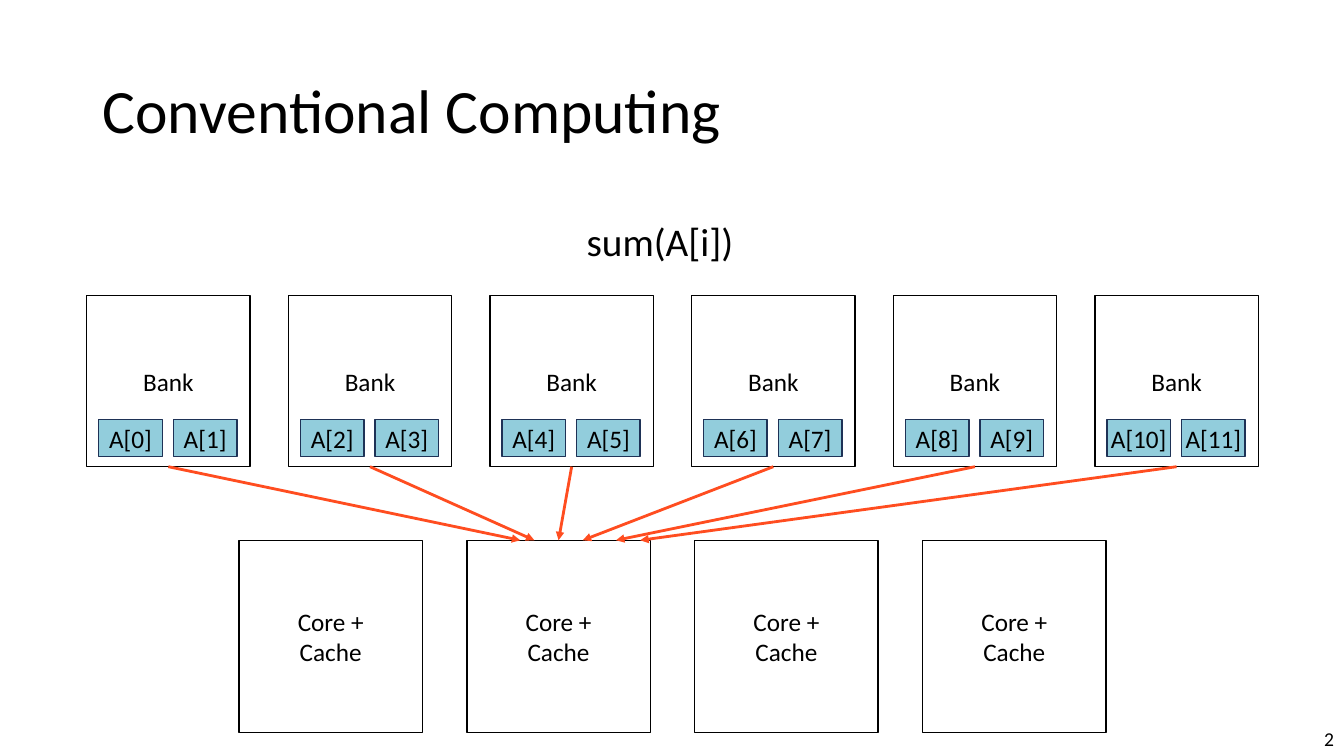
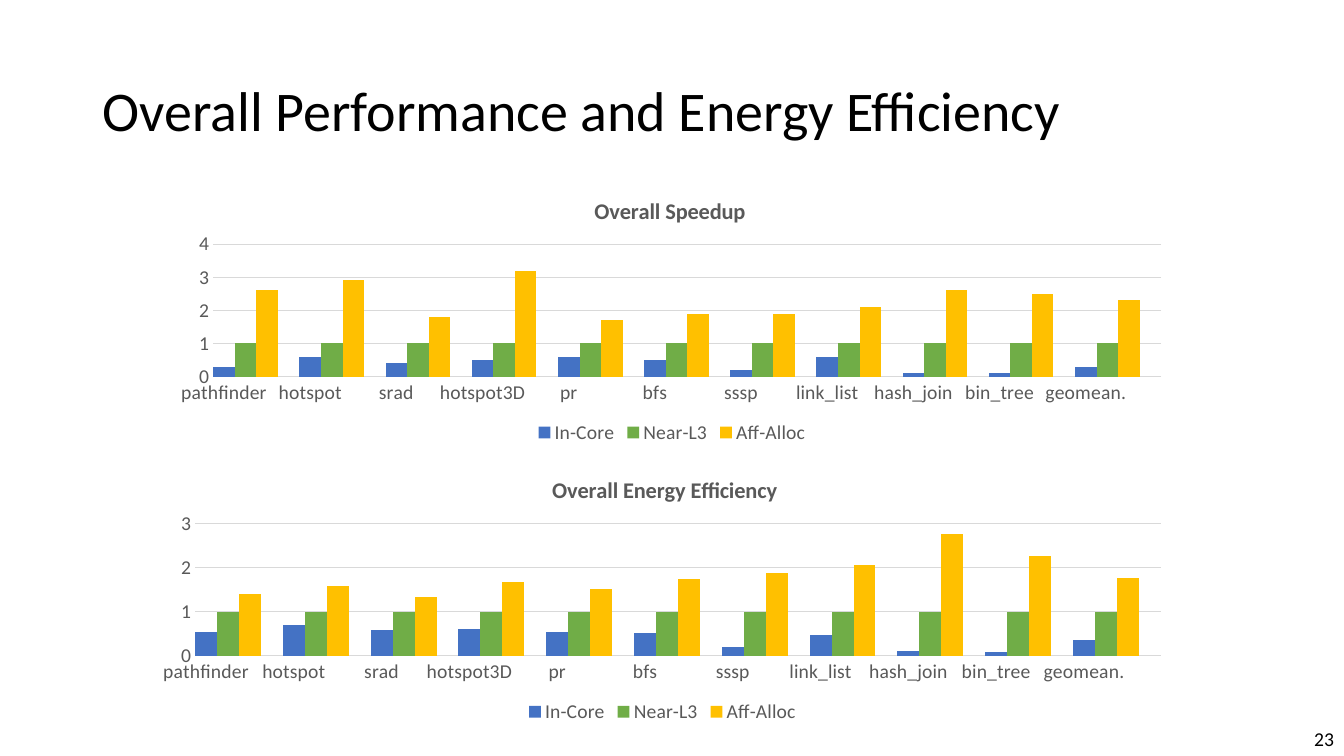
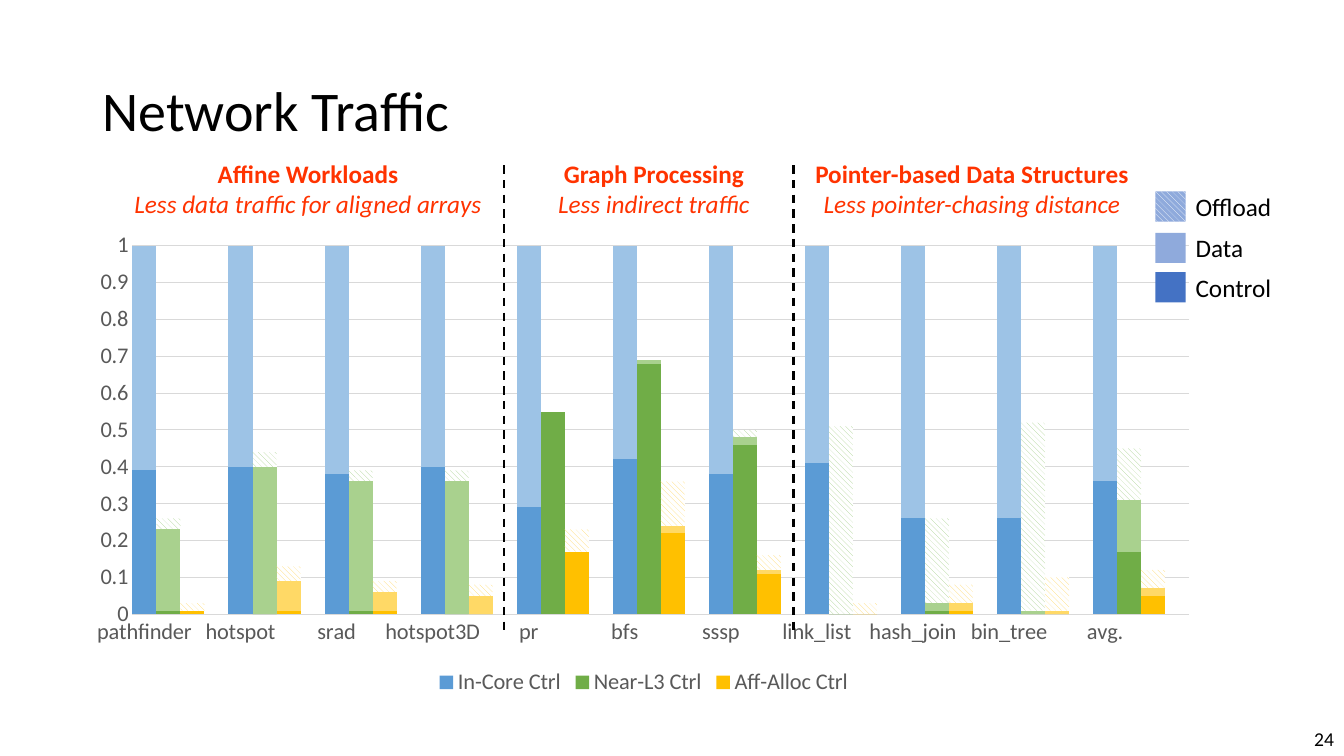
"""Build three slides on conventional computing, efficiency and network traffic."""
from dataclasses import dataclass

from pptx import Presentation
from pptx.chart import data as chart_data
from pptx.dml.color import RGBColor
from pptx.enum import chart as chart_enum, dml, shapes, text
from pptx.oxml import ns, parse_xml
from pptx.util import Inches, Pt


@dataclass(frozen=True)
class Theme:
    font: str = "Calibri"
    black: str = "000000"
    white: str = "FFFFFF"
    gray: str = "595959"
    grid: str = "D9D9D9"
    cell: str = "92CDDC"
    cell_edge: str = "1E3256"
    arrow: str = "FF4D20"
    accent: str = "FF3300"
    blue: str = "4472C4"
    soft_blue: str = "8FAADC"
    green: str = "70AD47"
    gold: str = "FFC000"
    traffic: tuple = (("5B9BD5", "9DC3E6"), ("70AD47", "A9D18E"), ("FFC000", "FFD966"))
    title: int = 44
    long_title: int = 40
    formula: int = 28
    body: int = 18
    chart_title: int = 16
    number: int = 14


theme = Theme()
color = RGBColor.from_string
CENTER, RIGHT = text.PP_ALIGN.CENTER, text.PP_ALIGN.RIGHT
HATCH = dml.MSO_PATTERN.WIDE_DOWNWARD_DIAGONAL


def add_text(slide, box, lines, size=theme.body, ink=theme.black, wrap=True, anchor=None,
             fonts=({},), **paragraph_format):
    """Add a text box with one paragraph per line."""
    shape = slide.shapes.add_textbox(*map(Inches, box))
    frame = shape.text_frame
    frame.word_wrap, frame.vertical_anchor = wrap, anchor
    frame.text = "\n".join(lines)
    for index, paragraph in enumerate(frame.paragraphs):
        for name, value in paragraph_format.items():
            setattr(paragraph, name, value)
        font = paragraph.runs[0].font
        for name, value in {"name": theme.font, "size": Pt(size), **fonts[index % len(fonts)]}.items():
            setattr(font, name, value)
        font.color.rgb = color(ink)


def add_box(slide, box, fill, edge=None, lines=(), wrap=True):
    """Add a filled rectangle with centred lines of text."""
    shape = slide.shapes.add_shape(shapes.MSO_SHAPE.RECTANGLE, *map(Inches, box))
    shape.shadow.inherit = False
    shape.fill.solid()
    shape.fill.fore_color.rgb = color(fill)
    if edge:
        shape.line.color.rgb, shape.line.width = color(edge), Pt(1)
    else:
        shape.line.fill.background()
    frame = shape.text_frame
    frame.word_wrap, frame.vertical_anchor = wrap, text.MSO_ANCHOR.MIDDLE
    frame.text = "\n".join(lines)
    for paragraph in frame.paragraphs:
        paragraph.alignment = CENTER
        for name, value in {"name": theme.font, "size": Pt(theme.body)}.items():
            setattr(paragraph.font, name, value)
        paragraph.font.color.rgb = color(theme.black)
    return shape


presentation = Presentation()
presentation.slide_width, presentation.slide_height = Inches(13.33), Inches(7.5)
slides = []
for title, size, number in (
    ("Conventional Computing", theme.title, "2"),
    ("Overall Performance and Energy Efficiency", theme.long_title, "23"),
    ("Network Traffic", theme.long_title, "24"),
):
    slide = presentation.slides.add_slide(presentation.slide_layouts[6])
    add_text(slide, (0.92, 0.4, 11.5, 1.45), [title], size, anchor=text.MSO_ANCHOR.MIDDLE,
             line_spacing=0.9)
    add_text(slide, (12.74, 7.16, 0.59, 0.34), [number], theme.number, alignment=RIGHT)
    slides.append(slide)
computing, efficiency, traffic = slides

for core in range(4):
    add_box(computing, (2.37 + 2.26 * core, 5.36, 1.82, 1.91), theme.white, theme.black,
            ["Core +", "Cache"])
for bank in range(6):
    left = 0.86 + 2 * bank
    add_box(computing, (left, 2.93, 1.62, 1.7), theme.white, theme.black, ["Bank"])
    for half in range(2):
        add_box(computing, (left + 0.12 + 0.74 * half, 4.16, 0.63, 0.37), theme.cell,
                theme.cell_edge, [f"A[{2 * bank + half}]"], wrap=False)
add_text(computing, (5.72, 2.11, 1.67, 0.57), ["sum(A[i])"], theme.formula, wrap=False)

workloads = ["pathfinder", "hotspot", "srad", "hotspot3D", "pr", "bfs", "sssp",
             "link_list", "hash_join", "bin_tree"]
systems = ["In-Core", "Near-L3", "Aff-Alloc"]
system_colors = [theme.blue, theme.green, theme.gold]
speedup = [
    [0.3, 0.6, 0.4, 0.5, 0.6, 0.5, 0.2, 0.6, 0.1, 0.1, 0.3],
    [1] * 11,
    [2.6, 2.9, 1.8, 3.2, 1.7, 1.9, 1.9, 2.1, 2.6, 2.5, 2.3],
]
energy = [
    [0.53, 0.7, 0.58, 0.6, 0.54, 0.52, 0.19, 0.46, 0.1, 0.09, 0.35],
    [1] * 11,
    [1.4, 1.58, 1.32, 1.66, 1.52, 1.74, 1.87, 2.05, 2.76, 2.26, 1.77],
]
messages = [
    [0.39, 0.4, 0.38, 0.4, 0.29, 0.42, 0.38, 0.41, 0.26, 0.26, 0.36],
    [0.61, 0.6, 0.62, 0.6, 0.71, 0.58, 0.62, 0.59, 0.74, 0.74, 0.64],
    [0] * 11,
    [0.01, 0, 0.01, 0, 0.55, 0.68, 0.46, 0, 0.01, 0, 0.17],
    [0.22, 0.4, 0.35, 0.36, 0, 0.01, 0.02, 0, 0.02, 0.01, 0.14],
    [0.03, 0.04, 0.03, 0.03, 0, 0, 0.02, 0.51, 0.23, 0.51, 0.14],
    [0.01, 0.01, 0.01, 0, 0.17, 0.22, 0.11, 0, 0.01, 0, 0.05],
    [0, 0.08, 0.05, 0.05, 0, 0.02, 0.01, 0, 0.02, 0.01, 0.02],
    [0.02, 0.04, 0.03, 0.03, 0.06, 0.12, 0.04, 0.03, 0.05, 0.09, 0.05],
]
overall_series = [
    [(name, values, ink, False) for name, values, ink in zip(systems, rows, system_colors)]
    for rows in (speedup, energy)
]
traffic_series = []
for index, values in enumerate(messages):
    system, part = divmod(index, 3)
    name = f"Series {index + 1}" if part else f"{systems[system]} Ctrl"
    traffic_series.append((name, values, theme.traffic[system][min(part, 1)], part == 2))

overall_plot, traffic_plot = (0.05, 0.26, 0.93, 0.48), (0.05, 0.05, 0.93, 0.77)
for slide, box, title, title_left, series_list, summary, top, unit, size, plot_box in (
    (efficiency, (1.61, 1.71, 10.11, 2.74), "Overall Speedup", 0.42, overall_series[0],
     "geomean.", 4, 1, 14, overall_plot),
    (efficiency, (1.42, 4.48, 10.3, 2.74), "Overall Energy Efficiency", 0.39, overall_series[1],
     "geomean.", 3, 1, 14, overall_plot),
    (traffic, (0.75, 2.2, 11.27, 4.75), None, 0, traffic_series, "avg.", 1, 0.1, 16, traffic_plot),
):
    table = chart_data.CategoryChartData()
    table.categories = [label for name in workloads + [summary] for label in (name, "", "", "")]
    parts = len(series_list) // len(systems)
    for index, (name, values, ink, hatched) in enumerate(series_list):
        slots = [None] * (4 * len(values))
        slots[index // parts::4] = values
        table.add_series(name, slots)
    chart = slide.shapes.add_chart(chart_enum.XL_CHART_TYPE.COLUMN_STACKED,
                                   *map(Inches, box), table).chart
    chart.has_title = bool(title)
    chart.has_legend = True
    chart.legend.position = chart_enum.XL_LEGEND_POSITION.BOTTOM
    chart.legend.include_in_layout = False
    plot = chart.plots[0]
    plot.gap_width, plot.overlap, plot.vary_by_categories = 0, 100, False

    hidden = [index for index in range(len(series_list)) if index % parts]
    for position, index in enumerate(hidden, 1):
        chart.legend._element.insert(position, parse_xml(
            f'<c:legendEntry {ns.nsdecls("c")}><c:idx val="{index}"/>'
            '<c:delete val="1"/></c:legendEntry>'))
    for series, (name, values, ink, hatched) in zip(plot.series, series_list):
        fill = series.format.fill
        if hatched:
            fill.patterned()
            fill.pattern = HATCH
            fill.back_color.rgb = color(theme.white)
        else:
            fill.solid()
        fill.fore_color.rgb = color(ink)

    category_axis, value_axis = chart.category_axis, chart.value_axis
    for name, value in {"minimum_scale": 0, "maximum_scale": top, "major_unit": unit}.items():
        setattr(value_axis, name, value)
    for axis in (category_axis, value_axis):
        axis.major_tick_mark = axis.minor_tick_mark = chart_enum.XL_TICK_MARK.NONE
    value_axis.format.line.fill.background()
    for line in (category_axis.format.line, value_axis.major_gridlines.format.line):
        line.color.rgb, line.width = color(theme.grid), Pt(0.75)

    fonts = [(chart.legend.font, size, False), (category_axis.tick_labels.font, size, False),
             (value_axis.tick_labels.font, size, False)]
    plot_area = plot._element.getparent()
    layouts = [(plot_area, 0, '<c:layoutTarget val="inner"/>', plot_box)]
    if title:
        chart.chart_title.text_frame.text = title
        fonts.append((chart.chart_title.text_frame.paragraphs[0].runs[0].font,
                      theme.chart_title, True))
        layouts.append((chart.chart_title._element, 1, "", (title_left, 0.07)))
    for font, points, bold in fonts:
        for name, value in {"name": theme.font, "size": Pt(points), "bold": bold}.items():
            setattr(font, name, value)
        font.color.rgb = color(theme.gray)
    category_axis._element.find(ns.qn("c:txPr")).find(ns.qn("a:bodyPr")).set("rot", "-60000000")
    for parent, position, target, fractions in layouts:
        for layout in parent.findall(ns.qn("c:layout")):
            parent.remove(layout)
        modes = "".join(f'<c:{side}Mode val="edge"/>' for side in "xy")
        sizes = "".join(f'<c:{side} val="{value}"/>' for side, value in zip("xywh", fractions))
        parent.insert(position, parse_xml(
            f'<c:layout {ns.nsdecls("c")}><c:manualLayout>{target}{modes}{sizes}'
            '</c:manualLayout></c:layout>'))

for label, top, width, fill in (
    ("Control", 2.7, 0.96, theme.blue),
    ("Data", 2.31, 0.68, theme.soft_blue),
    ("Offload", 1.9, 0.97, theme.soft_blue),
):
    swatch = add_box(traffic, (11.46, top, 0.3, 0.3), fill)
    if label == "Offload":
        swatch.fill.patterned()
        swatch.fill.pattern = HATCH
        swatch.fill.fore_color.rgb = color(theme.white)
        swatch.fill.back_color.rgb = color(fill)
    add_text(traffic, (11.76, top - 0.05, width, 0.4), [label], wrap=False)

for left, width, group, benefit in (
    (1.21, 3.69, "Affine Workloads", "Less data traffic for aligned arrays"),
    (5.39, 2.19, "Graph Processing", "Less indirect traffic"),
    (7.97, 3.34, "Pointer-based Data Structures", "Less pointer-chasing distance"),
):
    add_text(traffic, (left, 1.52, width, 0.71), [group, benefit], ink=theme.accent, wrap=False,
             fonts=({"bold": True}, {"italic": True}), alignment=CENTER)

arrow_ends = [5.16, 5.3, 5.54, 5.78, 6.11, 6.35]
lines = [(computing, (1.67 + 2 * bank, 4.63, end, 5.36), theme.arrow, 2, True)
         for bank, end in enumerate(arrow_ends)]
lines += [(traffic, (x, 1.64, x, 6.26), theme.black, 1.5, False) for x in (5, 7.87)]
for slide, ends, ink, width, arrow in lines:
    connector = slide.shapes.add_connector(shapes.MSO_CONNECTOR.STRAIGHT, *map(Inches, ends))
    connector.line.color.rgb, connector.line.width = color(ink), Pt(width)
    if arrow:
        connector.line._get_or_add_ln().append(
            parse_xml(f'<a:tailEnd {ns.nsdecls("a")} type="triangle"/>'))
    else:
        connector.line.dash_style = dml.MSO_LINE.DASH
    connector._element.spPr.append(parse_xml(f'<a:effectLst {ns.nsdecls("a")}/>'))

presentation.save("out.pptx")
